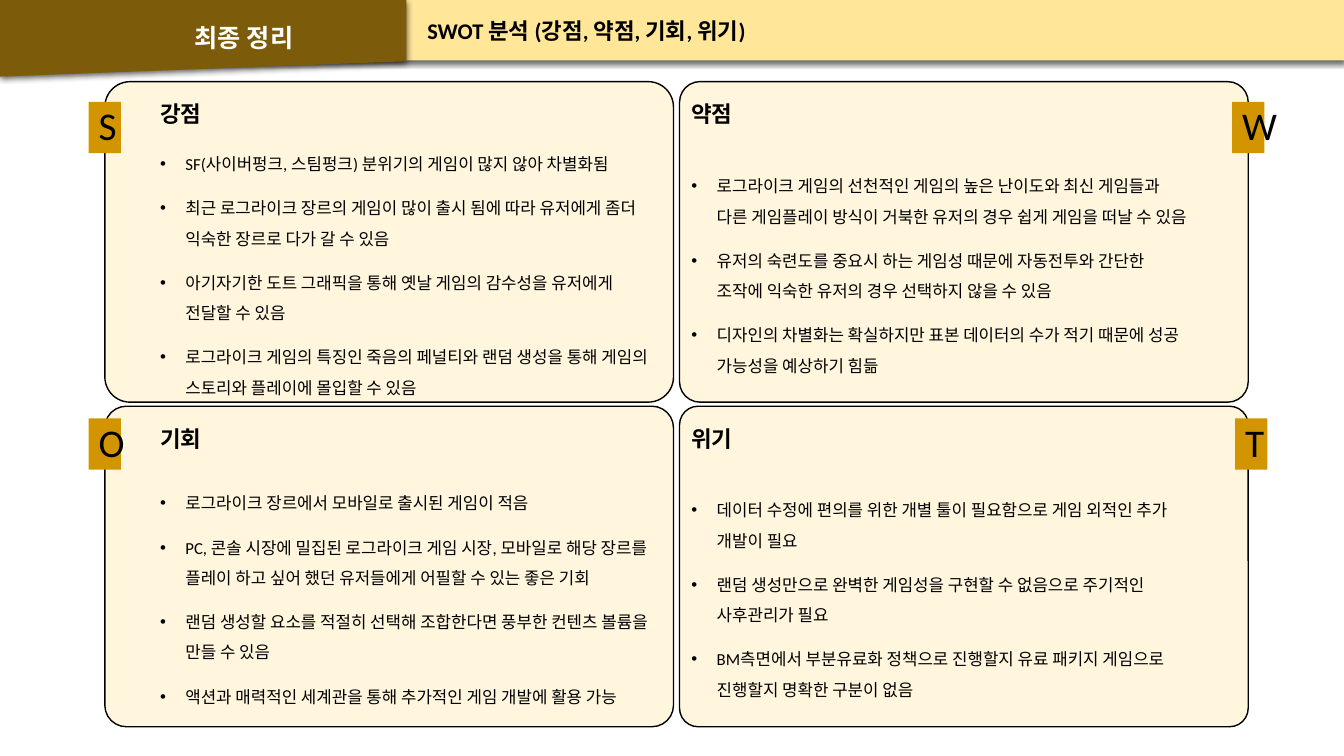
from lxml.etree import SubElement
from pptx import Presentation
from pptx.dml.color import RGBColor
from pptx.enum.shapes import MSO_SHAPE as Preset
from pptx.enum.text import MSO_ANCHOR as Anchor, PP_ALIGN as Align
from pptx.oxml.ns import qn
from pptx.util import Inches, Pt

COLORS = {
    "banner": "FFE699",
    "tab": "7C5B0A",
    "panel": "FFF6DD",
    "badge": "D29500",
    "ink": "000000",
    "paper": "FFFFFF",
}
PANEL_WIDTH, PANEL_HEIGHT = 5.64, 3.18
PANEL_LEFTS, PANEL_TOPS = (1.04, 6.74), (0.81, 4.03)
TEXT_LEFTS, TEXT_WIDTH = (1.49, 6.76), 5.18
BADGE_TOPS = (1.01, 4.15)
BODY_AREAS = ((1.38, 2.61), (4.61, 2.58))

QUADRANTS = [
    ("S", 0.88, 0.079, "강점", [
        "SF(사이버펑크, 스팀펑크) 분위기의 게임이 많지 않아 차별화됨",
        "최근 로그라이크 장르의 게임이 많이 출시 됨에 따라 유저에게 좀더 익숙한 장르로 다가 갈 수 있음",
        "아기자기한 도트 그래픽을 통해 옛날 게임의 감수성을 유저에게 전달할 수 있음",
        "로그라이크 게임의 특징인 죽음의 페널티와 랜덤 생성을 통해 게임의 스토리와 플레이에 몰입할 수 있음",
    ]),
    ("W", 12.22, 0.064, "약점", [
        "로그라이크 게임의 선천적인 게임의 높은 난이도와 최신 게임들과 다른 게임플레이 방식이 거북한 유저의 경우 쉽게 게임을 떠날 수 있음",
        "유저의 숙련도를 중요시 하는 게임성 때문에 자동전투와 간단한 조작에 익숙한 유저의 경우 선택하지 않을 수 있음",
        "디자인의 차별화는 확실하지만 표본 데이터의 수가 적기 때문에 성공 가능성을 예상하기 힘듦",
    ]),
    ("O", 0.88, 0.067, "기회", [
        "로그라이크 장르에서 모바일로 출시된 게임이 적음",
        "PC, 콘솔 시장에 밀집된 로그라이크 게임 시장, 모바일로 해당 장르를 플레이 하고 싶어 했던 유저들에게 어필할 수 있는 좋은 기회",
        "랜덤 생성할 요소를 적절히 선택해 조합한다면 풍부한 컨텐츠 볼륨을 만들 수 있음",
        "액션과 매력적인 세계관을 통해 추가적인 게임 개발에 활용 가능",
    ]),
    ("T", 12.25, 0.058, "위기", [
        "데이터 수정에 편의를 위한 개별 툴이 필요함으로 게임 외적인 추가 개발이 필요",
        "랜덤 생성만으로 완벽한 게임성을 구현할 수 없음으로 주기적인 사후관리가 필요",
        "BM측면에서 부분유료화 정책으로 진행할지 유료 패키지 게임으로 진행할지 명확한 구분이 없음",
    ]),
]


def rgb(name):
    """Return the named colour."""
    return RGBColor.from_string(COLORS[name])


def add_block(slide, preset, area, color):
    """Add a filled shape with no outline and no shadow."""
    block = slide.shapes.add_shape(preset, *map(Inches, area))
    block.shadow.inherit = False
    block.fill.solid()
    block.fill.fore_color.rgb = rgb(color)
    block.line.fill.background()
    return block


def cast_shadow(block):
    """Give a shape a soft shadow below it."""
    effects = block.element.spPr.find(qn("a:effectLst"))
    shadow = SubElement(effects, qn("a:outerShdw"), blurRad=str(Pt(4.5)),
                        dist=str(Pt(1.5)), dir="5400000", rotWithShape="0")
    tone = SubElement(shadow, qn("a:srgbClr"), val=COLORS["ink"])
    SubElement(tone, qn("a:alpha"), val="63000")


def add_bullet(paragraph):
    """Put a hanging bullet on a paragraph."""
    properties = paragraph._p.get_or_add_pPr()
    properties.set("marL", str(Inches(0.25)))
    properties.set("indent", str(Inches(-0.25)))
    SubElement(properties, qn("a:buFont"), typeface="Arial")
    SubElement(properties, qn("a:buChar"), char="•")


def write(holder, lines, size, color="ink", bold=False, spacing=1.0,
          align=Align.LEFT, anchor=Anchor.MIDDLE, bullets=False):
    """Fill a shape with paragraphs in one style."""
    frame = holder.text_frame
    frame.word_wrap = True
    frame.vertical_anchor = anchor
    frame.text = "\n".join(lines)
    for index, paragraph in enumerate(frame.paragraphs):
        paragraph.alignment = align
        paragraph.line_spacing = spacing
        if index:
            paragraph.space_before = Pt(10)
        if bullets:
            add_bullet(paragraph)
        font = paragraph.font
        font.name, font.size, font.bold = "Calibri", Pt(size), bold
        font.color.rgb = rgb(color)


def add_text(slide, area, lines, size, **style):
    """Add a text box with styled paragraphs."""
    write(slide.shapes.add_textbox(*map(Inches, area)), lines, size, **style)


def add_header(slide):
    """Draw the banner, its tab, the title and the subtitle."""
    cast_shadow(add_block(slide, Preset.RECTANGLE, (0, 0, 13.33, 0.6), "banner"))
    tab = add_block(slide, Preset.FLOWCHART_MANUAL_INPUT, (0, 0, 4.03, 0.76), "tab")
    tab.rotation = 180
    cast_shadow(tab)
    title = slide.shapes.title
    title.left, title.top, title.width, title.height = map(Inches, (0.92, 0.04, 3, 0.52))
    write(title, ["최종 정리"], 18, color="paper", bold=True, spacing=1.5, align=Align.CENTER)
    title.element.getparent().append(title.element)
    add_text(slide, (4.14, 0.12, 8.28, 0.36), ["SWOT 분석 (강점, 약점, 기회, 위기)"], 16, bold=True)


def add_panel(slide, row, column, rounding):
    """Draw the outlined background of one quadrant."""
    area = (PANEL_LEFTS[column], PANEL_TOPS[row], PANEL_WIDTH, PANEL_HEIGHT)
    panel = add_block(slide, Preset.ROUNDED_RECTANGLE, area, "panel")
    panel.adjustments[0] = rounding
    panel.line.color.rgb = rgb("ink")
    panel.line.width = Pt(1)


def add_quadrant(slide, row, column, quadrant):
    """Draw one quadrant with its badge, heading and bullets."""
    letter, badge_left, rounding, heading, points = quadrant
    add_panel(slide, row, column, rounding)
    badge_area = (badge_left, BADGE_TOPS[row], 0.32, 0.51)
    badge = add_block(slide, Preset.RECTANGLE, badge_area, "badge")
    write(badge, [letter], 28, spacing=0.9, align=Align.CENTER, anchor=Anchor.TOP)
    left = TEXT_LEFTS[column]
    body_top, body_height = BODY_AREAS[row]
    add_text(slide, (left, body_top, TEXT_WIDTH, body_height), points, 12,
             spacing=1.5, bullets=True)
    add_text(slide, (left, PANEL_TOPS[row], TEXT_WIDTH, 0.51), [heading], 16,
             bold=True, spacing=1.5)


def main():
    """Build the SWOT slide and save it."""
    deck = Presentation()
    deck.slide_width, deck.slide_height = Inches(13.33), Inches(7.5)
    slide = deck.slides.add_slide(deck.slide_layouts[5])
    add_header(slide)
    for index, quadrant in enumerate(QUADRANTS):
        add_quadrant(slide, *divmod(index, 2), quadrant)
    deck.save("out.pptx")


if __name__ == "__main__":
    main()
